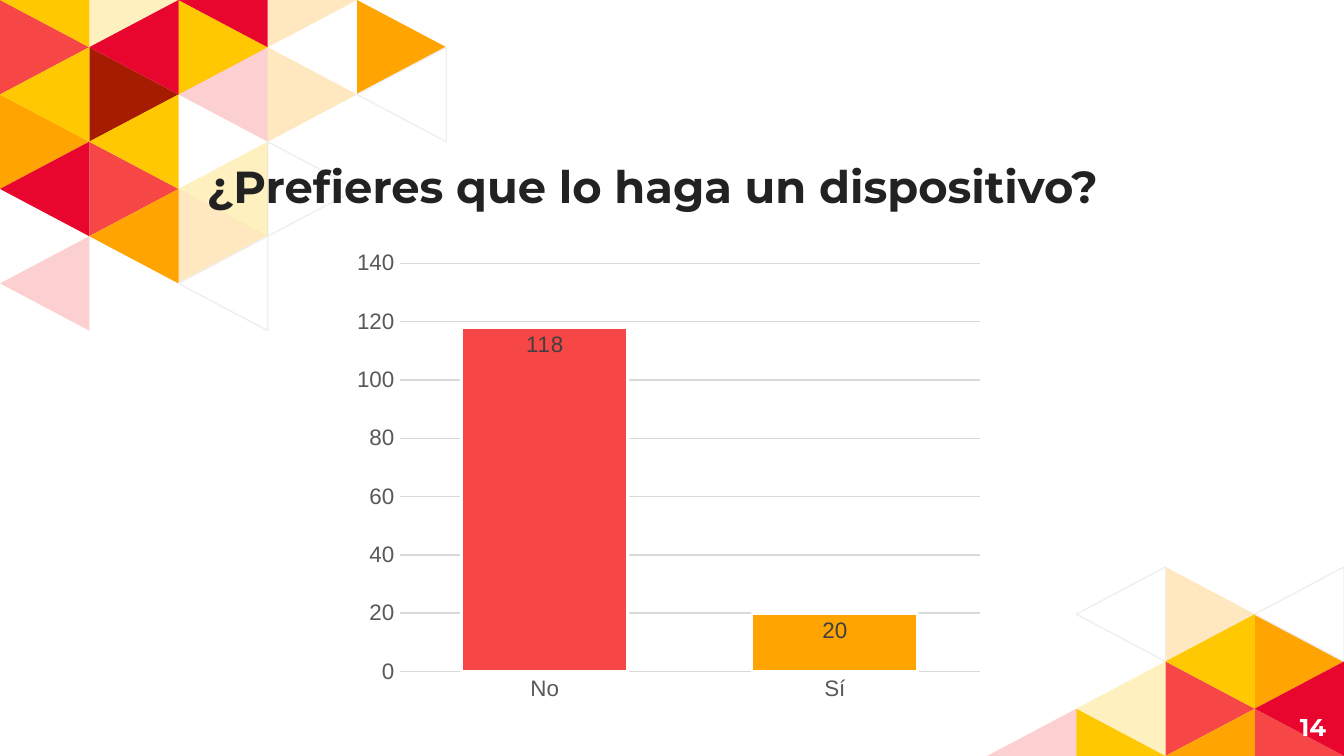
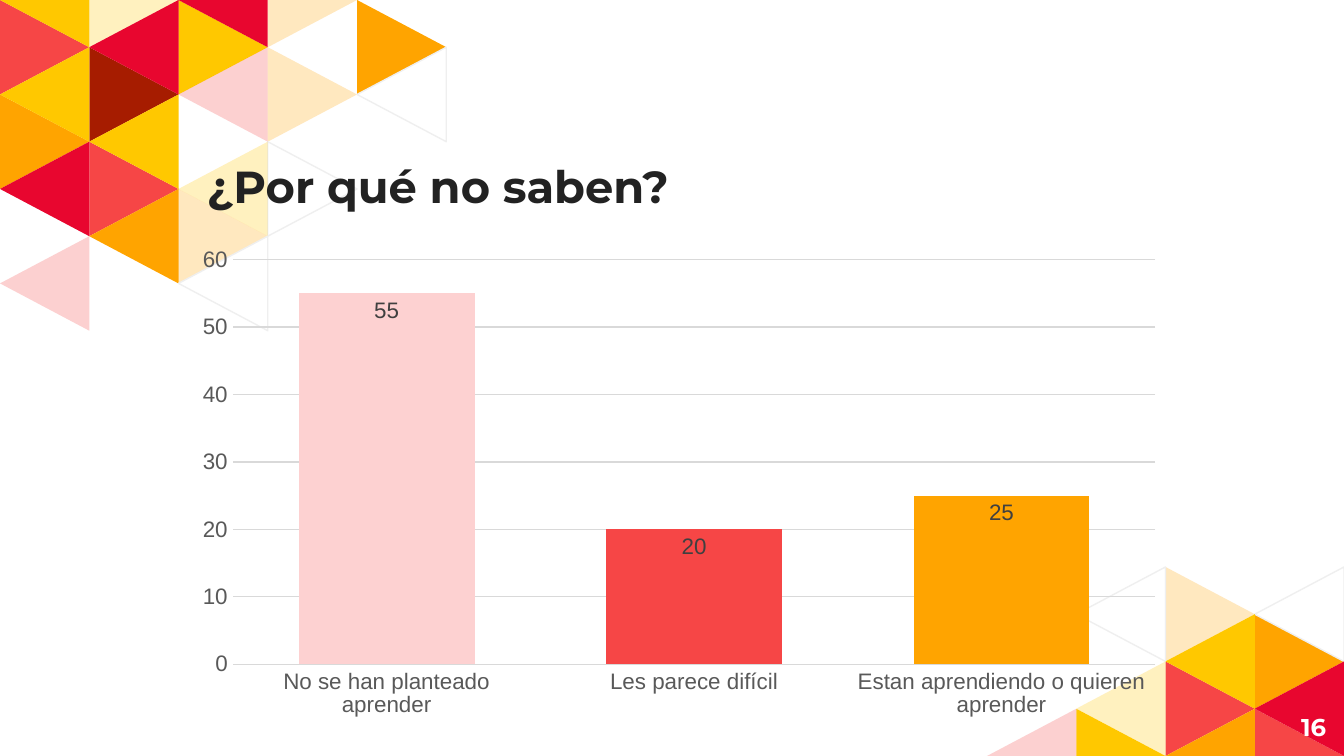
from lxml.etree import SubElement
from pptx import Presentation
from pptx.chart.data import CategoryChartData
from pptx.dml.color import RGBColor
from pptx.enum.chart import XL_CHART_TYPE, XL_LABEL_POSITION, XL_TICK_MARK
from pptx.enum.text import MSO_ANCHOR, PP_ALIGN
from pptx.oxml.ns import qn
from pptx.util import Pt

# Scale and grid: the slide is 1344 x 756 px, the mosaic has 16 half rows
SCALE = 914400 / 134.4
WIDE, HIGH = 1344, 756
COL, ROW, ROWS = 89.25, 47.25, 16

# Palette
WHITE, RED, CORAL, BROWN = "FFFFFF", "E8062F", "F64646", "A61C00"
ORANGE, YELLOW, PINK = "FFA400", "FFC800", "FDD1D1"
INK, GRAY, DARK, GRID, EDGE = "222222", "595959", "404040", "D9D9D9", "EFEFEF"
BLUE = "3A81BA"
HEAD, BODY = "Montserrat", "Arial"

# Tiles: direction of the tip, column, half row, colour, opacity in percent
TOP = [
    (">", 0, 2, ORANGE, 100), (">", 1, 1, BROWN, 100), (">", 1, 3, CORAL, 100),
    (">", 3, 1, ORANGE, 25), (">", 2, 4, ORANGE, 25), (">", 3, 3, WHITE, 100),
    (">", 0, 0, CORAL, 100), (">", 1, -1, YELLOW, 25), (">", 2, 0, YELLOW, 100),
    (">", 3, -1, ORANGE, 25), (">", 4, 0, ORANGE, 100), ("<", 0, 1, YELLOW, 100),
    ("<", 1, 2, YELLOW, 100), ("<", 0, 3, RED, 100), ("<", 1, 4, ORANGE, 100),
    ("<", 0, 5, CORAL, 25), ("<", 2, 1, CORAL, 25), ("<", 2, 3, YELLOW, 25),
    ("<", 2, 5, WHITE, 100), ("<", 4, 1, WHITE, 100), ("<", 0, -1, YELLOW, 100),
    ("<", 1, 0, RED, 100), ("<", 2, -1, RED, 100),
]
BASE = [
    (">", 2, 12, ORANGE, 25), (">", 3, 13, ORANGE, 100), (">", 1, 15, YELLOW, 100),
    (">", 2, 14, CORAL, 100), (">", 3, 15, CORAL, 100), ("<", 1, 12, WHITE, 100),
    ("<", 3, 12, WHITE, 100), ("<", 2, 13, YELLOW, 100), ("<", 1, 14, YELLOW, 25),
    ("<", 2, 15, ORANGE, 100), ("<", 3, 14, RED, 100), ("<", 0, 15, CORAL, 25),
]


def px(size):
    return round(size * SCALE)


def tint(color, code):
    color.rgb = RGBColor.from_string(code)


def paint(part, code, alpha=100):
    part.fill.solid()
    tint(part.fill.fore_color, code)
    if alpha < 100:
        node = part.fill._xPr.find(".//" + qn("a:srgbClr"))
        SubElement(node, qn("a:alpha"), val=str(alpha * 1000))


def stroke(line, code, width):
    if code:
        tint(line.color, code)
        line.width = Pt(width)
    else:
        line.fill.background()


def style(font, size, code, face=BODY, bold=False):
    font.size, font.name, font.bold = Pt(size), face, bold
    tint(font.color, code)


class Deck:
    def __init__(self):
        self.prs = Presentation()
        self.prs.slide_width, self.prs.slide_height = px(WIDE), px(HIGH)

    def page(self, title, number):
        self.slide = self.prs.slides.add_slide(self.prs.slide_layouts[6])
        paint(self.slide.background, WHITE)
        self.tiles(BASE, WIDE - 4 * COL)
        self.tiles(TOP, 0)
        self.text(title, (194, 128, 949, 98), size=24, code=INK,
                  anchor=MSO_ANCHOR.BOTTOM)
        self.text(str(number), (1258, 698, 81, 58), size=13, code=WHITE,
                  align=PP_ALIGN.RIGHT)

    def tiles(self, cells, left):
        group = self.slide.shapes.add_group_shape()
        for way, col, row, code, alpha in cells:
            flat, tip = (col, col + 1) if way == ">" else (col + 1, col)
            # Rows past the slide edge are cut to half a triangle
            spots = [(px(left + x * COL), px(min(max(y, 0), ROWS) * ROW))
                     for x, y in ((flat, row), (flat, row + 2), (tip, row + 1))]
            pen = group.shapes.build_freeform(*spots[0])
            pen.add_line_segments(spots[1:], close=True)
            tile = pen.convert_to_shape()
            tile.shadow.inherit = False
            paint(tile, code, alpha)
            stroke(tile.line, EDGE if code == WHITE else None, 0.75)

    def text(self, words, box, size, code, align=PP_ALIGN.LEFT,
             anchor=MSO_ANCHOR.MIDDLE):
        frame = self.slide.shapes.add_textbox(*map(px, box)).text_frame
        frame.word_wrap, frame.vertical_anchor = True, anchor
        frame.margin_left = frame.margin_right = px(13)
        frame.margin_top = frame.margin_bottom = px(13)
        par = frame.paragraphs[0]
        par.alignment = align
        run = par.add_run()
        run.text = words
        style(run.font, size, code, HEAD, True)

    def chart(self, box, bars, top, step, base, edge=None):
        data = CategoryChartData()
        data.categories = [name for name, _, _ in bars]
        data.add_series("Series 1", [value for _, value, _ in bars])
        chart = self.slide.shapes.add_chart(
            XL_CHART_TYPE.COLUMN_CLUSTERED, *map(px, box), data).chart
        chart.has_legend = chart.has_title = False
        style(chart.font, 10, "000000")

        # Axes
        cat, val = chart.category_axis, chart.value_axis
        for axis in (cat, val):
            axis.major_tick_mark = axis.minor_tick_mark = XL_TICK_MARK.NONE
            style(axis.tick_labels.font, 12, GRAY)
        stroke(cat.format.line, GRID, 0.75)
        stroke(val.format.line, None, 0)
        stroke(val.major_gridlines.format.line, GRID, 0.75)
        val.minimum_scale, val.maximum_scale, val.major_unit = 0, top, step

        # Bars and their labels
        plot = chart.plots[0]
        plot.gap_width, plot.overlap, plot.vary_by_categories = 75, 40, False
        series = plot.series[0]
        paint(series.format, base)
        stroke(series.format.line, edge, 1.5)
        for spot, (_, _, code) in enumerate(bars):
            form = series.points[spot].format
            paint(form, code)
            stroke(form.line, edge, 1.5)
        labels = series.data_labels
        labels.show_value, labels.position = True, XL_LABEL_POSITION.INSIDE_END
        style(labels.font, 12, DARK)


def main():
    deck = Deck()

    # Device preference
    deck.page("¿Prefieres que lo haga un dispositivo?", 14)
    deck.chart((344, 242, 649, 468), [("No", 118, CORAL), ("Sí", 20, ORANGE)],
               top=140, step=20, base=BLUE, edge=WHITE)

    # Reasons
    deck.page("¿Por qué no saben?", 16)
    deck.chart((183, 238, 992, 489), [
        ("No se han planteado aprender", 55, PINK),
        ("Les parece difícil", 20, CORAL),
        ("Estan aprendiendo o quieren aprender", 25, ORANGE),
    ], top=60, step=10, base=PINK)

    deck.prs.save("out.pptx")


if __name__ == "__main__":
    main()
